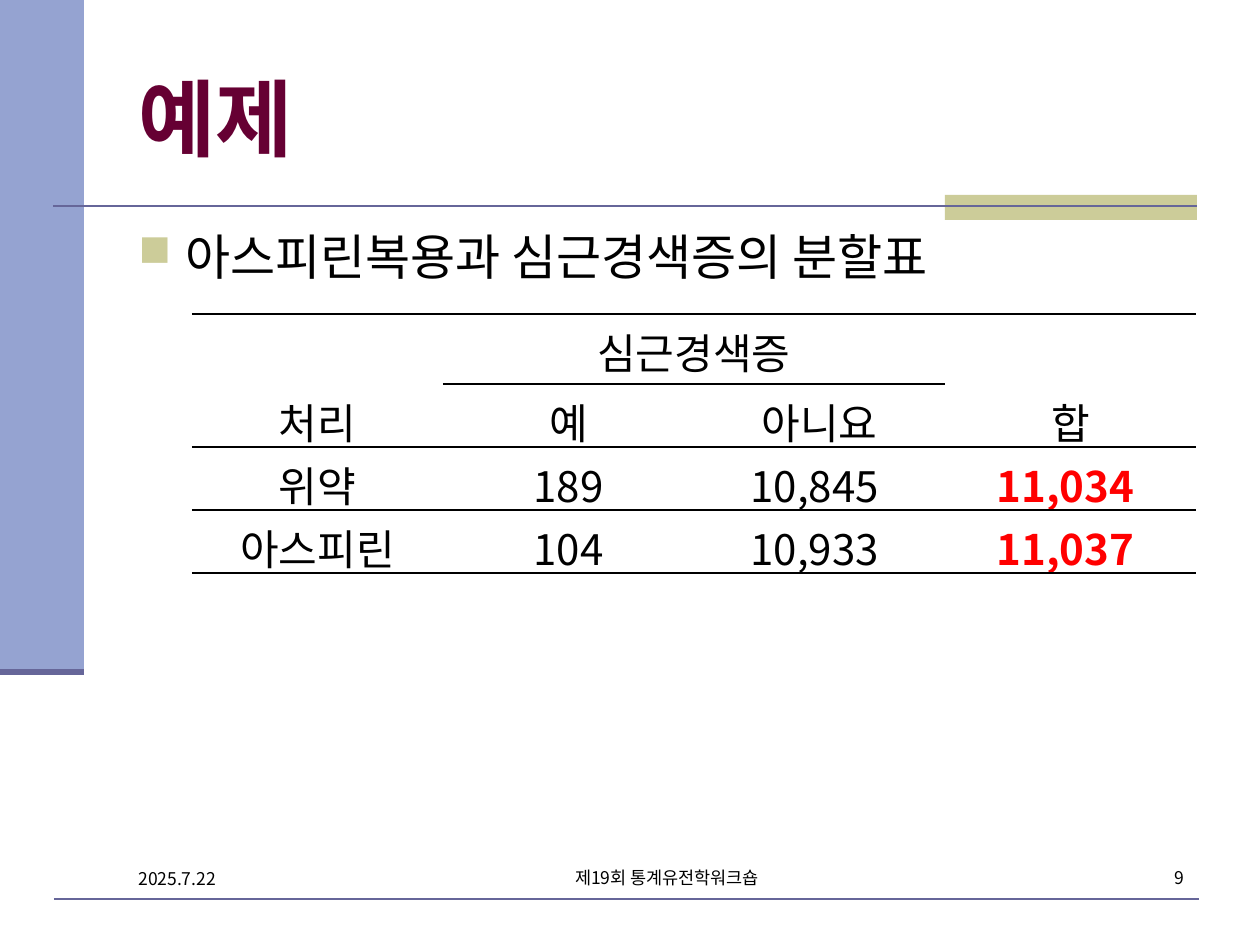
from lxml.etree import SubElement
from pptx import Presentation
from pptx.dml.color import RGBColor
from pptx.enum.shapes import MSO_CONNECTOR as Connector, MSO_SHAPE as Shape
from pptx.enum.text import MSO_ANCHOR as Anchor, PP_ALIGN as Align
from pptx.oxml.ns import qn
from pptx.util import Pt

EMU_PER_PX = 914400 // 126
FONT = "Noto Sans CJK KR"
NO_GRID_STYLE = "{2D5ABB26-0587-4C30-8999-92F81FD0307C}"
COLORS = {
    "band": "95A3D1",
    "accent": "CCCC99",
    "rule": "666699",
    "title": "660033",
    "text": "000000",
    "total": "FF0000",
}
HEADING = "심근경색증"
ROWS = [
    ["처리", "예", "아니요", "합"],
    ["위약", "189", "10,845 ", "11,034 "],
    ["아스피린", "104", "10,933 ", "11,037 "],
]


def px(*lengths):
    return [length * EMU_PER_PX for length in lengths]


def color(name):
    return RGBColor.from_string(COLORS[name])


def add_block(slide, box, fill):
    block = slide.shapes.add_shape(Shape.RECTANGLE, *px(*box))
    block.shadow.inherit = False
    block.fill.solid()
    block.fill.fore_color.rgb = color(fill)
    block.line.fill.background()


def add_rule(slide, left, right, y, width):
    rule = slide.shapes.add_connector(Connector.STRAIGHT, *px(left, y, right, y))
    rule.line.color.rgb = color("rule")
    rule.line.width = Pt(width)
    SubElement(rule._element.spPr, qn("a:effectLst"))


def write(paragraph, text, size, fill="text", bold=False, align=Align.LEFT):
    paragraph.alignment = align
    run = paragraph.add_run()
    run.text = text
    run.font.size = Pt(size)
    run.font.bold = bold
    run.font.name = FONT
    run.font.color.rgb = color(fill)
    SubElement(run._r.get_or_add_rPr(), qn("a:ea"), typeface=FONT)


def add_text(slide, box, text, size, anchor=Anchor.TOP, **style):
    frame = slide.shapes.add_textbox(*px(*box)).text_frame
    frame.word_wrap = True
    frame.vertical_anchor = anchor
    paragraph = frame.paragraphs[0]
    write(paragraph, text, size, **style)
    return paragraph


def add_bullet(paragraph, indent):
    properties = paragraph._p.get_or_add_pPr()
    properties.set("marL", str(indent * EMU_PER_PX))
    properties.set("indent", str(-indent * EMU_PER_PX))
    bullet_color = SubElement(properties, qn("a:buClr"))
    SubElement(bullet_color, qn("a:srgbClr"), val=COLORS["accent"])
    SubElement(properties, qn("a:buSzPct"), val="90000")
    SubElement(properties, qn("a:buChar"), char="■")


def set_borders(cell, *sides):
    properties = cell._tc.get_or_add_tcPr()
    for position, side in enumerate(sides):
        line = SubElement(properties, qn(f"a:ln{side}"), w=str(Pt(1)))
        fill = SubElement(line, qn("a:solidFill"))
        SubElement(fill, qn("a:srgbClr"), val=COLORS["text"])
        properties.remove(line)
        properties.insert(position, line)


def add_contingency_table(slide, left, top, column_width, row_heights):
    columns = len(ROWS[0])
    frame = slide.shapes.add_table(
        len(row_heights), columns,
        *px(left, top, column_width * columns, sum(row_heights)))
    table = frame.table
    table._tbl.tblPr.find(qn("a:tableStyleId")).text = NO_GRID_STYLE
    table.first_row = table.horz_banding = False
    for column in table.columns:
        column.width = column_width * EMU_PER_PX
    for row, height in zip(table.rows, row_heights):
        row.height = height * EMU_PER_PX
    for cell in table.iter_cells():
        cell.fill.background()

    heading = table.cell(0, 0)
    heading.merge(table.cell(0, columns - 1))
    write(heading.text_frame.paragraphs[0], HEADING, 24, align=Align.CENTER)
    for column in range(columns):
        set_borders(table.cell(0, column), "T")
        set_borders(table.cell(1, column), *("TB" if column in (1, 2) else "B"))
        set_borders(table.cell(2, column), "T")
        set_borders(table.cell(3, column), "B")

    for row, texts in enumerate(ROWS, 1):
        for column, text in enumerate(texts):
            is_total = row > 1 and column == columns - 1
            write(table.cell(row, column).text_frame.paragraphs[0], text, 24,
                  fill="total" if is_total else "text", bold=is_total,
                  align=Align.CENTER)


def main():
    presentation = Presentation()
    presentation.slide_width, presentation.slide_height = px(1260, 945)
    slide = presentation.slides.add_slide(presentation.slide_layouts[6])

    add_block(slide, (0, 0, 84, 672), "band")
    add_block(slide, (945, 195, 252, 25), "accent")
    add_rule(slide, 53, 1197, 206, 1.5)
    add_rule(slide, 0, 84, 672, 3.5)
    add_rule(slide, 54, 1199, 899, 1.5)

    add_text(slide, (126, 38, 1071, 157), "예제", 48, Anchor.MIDDLE,
             fill="title", bold=True)
    topic = add_text(slide, (126, 220, 1070, 624),
                     "아스피린복용과 심근경색증의 분할표", 28)
    add_bullet(topic, 47)
    add_contingency_table(slide, 192, 314, 251, [70, 63, 63, 63])

    add_text(slide, (126, 862, 273, 63), "2025.7.22", 10)
    add_text(slide, (935, 861, 262, 63), "9", 10, align=Align.RIGHT)
    add_text(slide, (462, 861, 410, 63), "제19회 통계유전학워크숍", 10,
             align=Align.CENTER)
    presentation.save("out.pptx")


if __name__ == "__main__":
    main()
